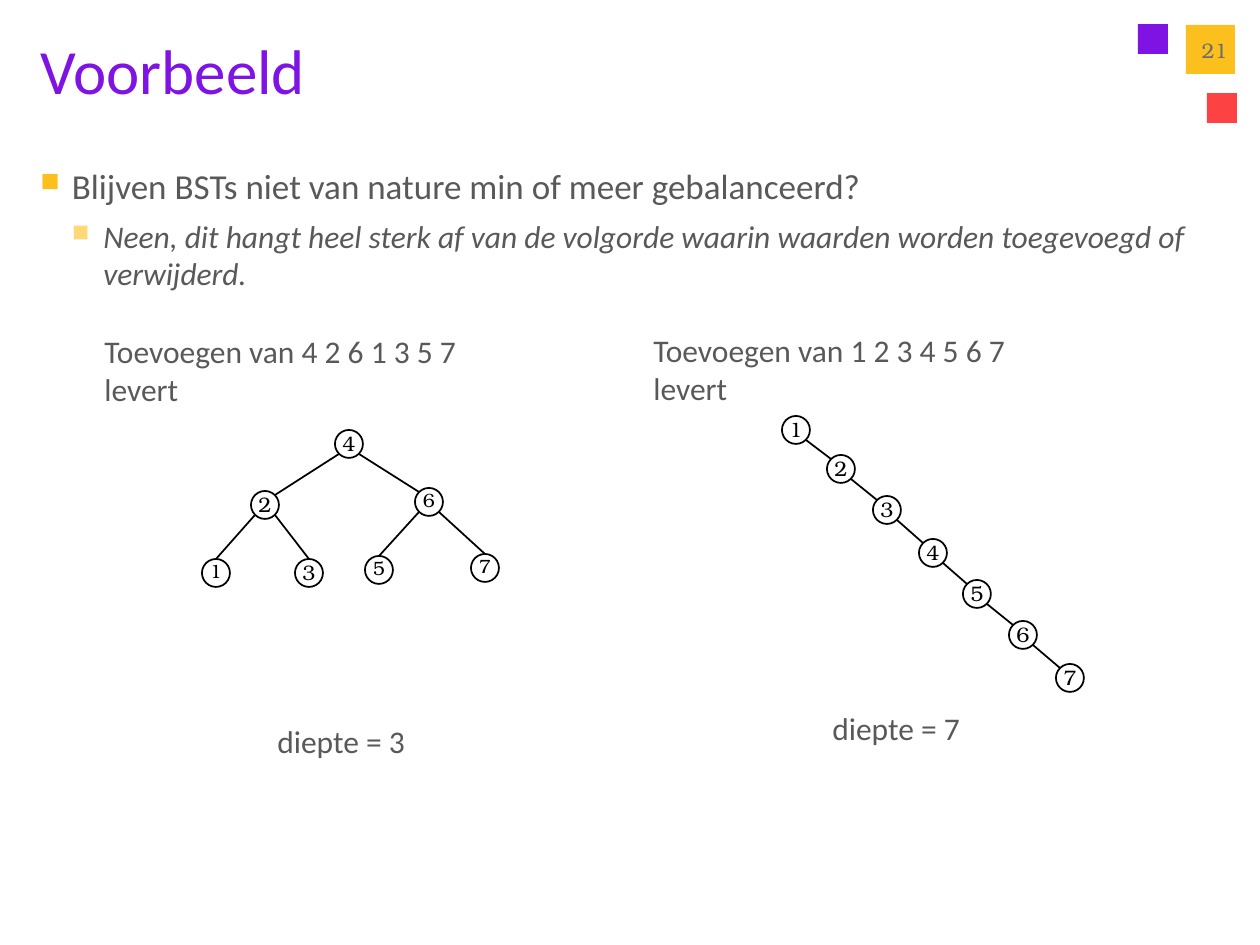
from lxml import etree
from pptx import Presentation
from pptx import util as u
from pptx.dml.color import RGBColor
from pptx.enum import shapes, text
from pptx.oxml import ns

SCALE = 914400 // 126
PURPLE = RGBColor(0x7E, 0x13, 0xE3)
RED = RGBColor(0xFD, 0x42, 0x44)
YELLOW = RGBColor(0xFB, 0xC0, 0x1E)
PALE_YELLOW = RGBColor(0xFD, 0xD9, 0x78)
GREY = RGBColor(0x59, 0x59, 0x59)
NUMBER_GREY = RGBColor(0x6D, 0x6D, 0x6D)
BLACK = RGBColor(0, 0, 0)
SANS = "Calibri"
SERIF = "TeX Gyre Bonum"
DIAMETER = 28
NEAR, MIDDLE, FAR = 4, 14, 24

BALANCED_NODES = {
    4: (335, 430, 12), 2: (251, 491, 12), 6: (415, 488, 11),
    1: (202, 559, 11), 3: (295, 559, 12), 5: (365, 556, 11), 7: (471, 554, 11),
}
BALANCED_EDGES = [(4, 2), (4, 6), (2, 1), (2, 3), (6, 5), (6, 7)]
CHAIN_NODES = {
    1: (782, 416, 12), 2: (827, 455, 12), 3: (873, 496, 12), 4: (919, 539, 12),
    5: (963, 580, 12), 6: (1009, 621, 12), 7: (1056, 664, 12),
}
CHAIN_EDGES = [(value, value + 1) for value in range(1, 7)]


def px(*lengths):
    return [u.Emu(length * SCALE) for length in lengths]


def add_run(paragraph, wording, size, color, font=SANS, italic=False):
    run = paragraph.add_run()
    run.text = wording
    run.font.size = u.Pt(size)
    run.font.name = font
    run.font.color.rgb = color
    run.font.italic = italic


def add_frame(slide, box, wrap=True):
    frame = slide.shapes.add_textbox(*px(*box)).text_frame
    frame.word_wrap = wrap
    return frame


def add_text(slide, box, lines, size, color):
    frame = add_frame(slide, box)
    for index, line in enumerate(lines):
        paragraph = frame.add_paragraph() if index else frame.paragraphs[0]
        add_run(paragraph, line, size, color)


def add_square(slide, left, top, side, color):
    shape = slide.shapes.add_shape(shapes.MSO_SHAPE.RECTANGLE, *px(left, top, side, side))
    shape.shadow.inherit = False
    shape.fill.solid()
    shape.fill.fore_color.rgb = color
    shape.line.fill.background()


def add_bullet(paragraph, level, color):
    paragraph.level = level
    properties = paragraph._p.get_or_add_pPr()
    indent = u.Inches(0.25)
    properties.set("marL", str(indent * (level + 1)))
    properties.set("indent", str(-indent))
    bullet_color = etree.SubElement(properties, ns.qn("a:buClr"))
    etree.SubElement(bullet_color, ns.qn("a:srgbClr"), val=str(color))
    etree.SubElement(properties, ns.qn("a:buSzPct"), val="75000")
    etree.SubElement(properties, ns.qn("a:buChar"), char="■")


def add_body(slide):
    frame = add_frame(slide, (28, 158, 1202, 706))
    question = frame.paragraphs[0]
    add_bullet(question, 0, YELLOW)
    add_run(question, "Blijven BSTs niet van nature min of meer gebalanceerd?", 20, GREY)
    answer = frame.add_paragraph()
    add_bullet(answer, 1, PALE_YELLOW)
    answer.space_before = u.Pt(6)
    add_run(answer, "Neen, dit hangt heel sterk af van de volgorde waarin waarden "
            "worden toegevoegd of verwijderd.", 18, GREY, italic=True)


def add_page_number(slide):
    frame = add_frame(slide, (1176, 25, 64, 50))
    frame.vertical_anchor = text.MSO_ANCHOR.MIDDLE
    paragraph = frame.paragraphs[0]
    paragraph.alignment = text.PP_ALIGN.RIGHT
    add_run(paragraph, "21", 12, NUMBER_GREY, SERIF)


def add_node(slide, value, left, top, size):
    frame = add_frame(slide, (left - 5, top - 6, DIAMETER + 10, DIAMETER + 10), wrap=False)
    paragraph = frame.paragraphs[0]
    paragraph.alignment = text.PP_ALIGN.CENTER
    add_run(paragraph, str(value), size, BLACK, SERIF)
    circle = slide.shapes.add_shape(shapes.MSO_SHAPE.OVAL, *px(left, top, DIAMETER, DIAMETER))
    circle.shadow.inherit = False
    circle.fill.background()
    circle.line.color.rgb = BLACK
    circle.line.width = u.Pt(1)


def add_edge(slide, parent, child, child_is_leaf):
    parent_left, parent_top, _ = parent
    child_left, child_top, _ = child
    start_x, end_x = (NEAR, FAR) if child_left < parent_left else (FAR, NEAR)
    end_y = NEAR
    if child_is_leaf:
        end_x, end_y = MIDDLE, 0
    line = slide.shapes.add_connector(
        shapes.MSO_CONNECTOR.STRAIGHT,
        *px(parent_left + start_x, parent_top + FAR, child_left + end_x, child_top + end_y))
    line.line.color.rgb = BLACK
    line.line.width = u.Pt(1)
    etree.SubElement(line._element.spPr, ns.qn("a:effectLst"))


def add_tree(slide, nodes, edges, leaves=()):
    for value, (left, top, size) in nodes.items():
        add_node(slide, value, left, top, size)
    for parent, child in edges:
        add_edge(slide, nodes[parent], nodes[child], child in leaves)


def main():
    presentation = Presentation()
    presentation.slide_width = u.Inches(10)
    presentation.slide_height = u.Inches(7.5)
    slide = presentation.slides.add_slide(presentation.slide_layouts[6])

    add_square(slide, 1138, 24, 30, PURPLE)
    add_square(slide, 1207, 93, 30, RED)
    add_square(slide, 1186, 25, 49, YELLOW)
    add_text(slide, (28, 25, 1041, 106), ["Voorbeeld"], 36, PURPLE)
    add_page_number(slide)
    add_body(slide)

    add_tree(slide, BALANCED_NODES, BALANCED_EDGES, leaves=(1, 3, 5, 7))
    add_tree(slide, CHAIN_NODES, CHAIN_EDGES)

    add_text(slide, (265, 716, 175, 50), ["diepte = 3"], 18, GREY)
    add_text(slide, (820, 703, 175, 50), ["diepte = 7"], 18, GREY)
    add_text(slide, (92, 326, 433, 89), ["Toevoegen van 4 2 6 1 3 5 7", "levert"], 18, GREY)
    add_text(slide, (641, 325, 433, 89), ["Toevoegen van 1 2 3 4 5 6 7", "levert"], 18, GREY)

    presentation.save("out.pptx")


if __name__ == "__main__":
    main()
